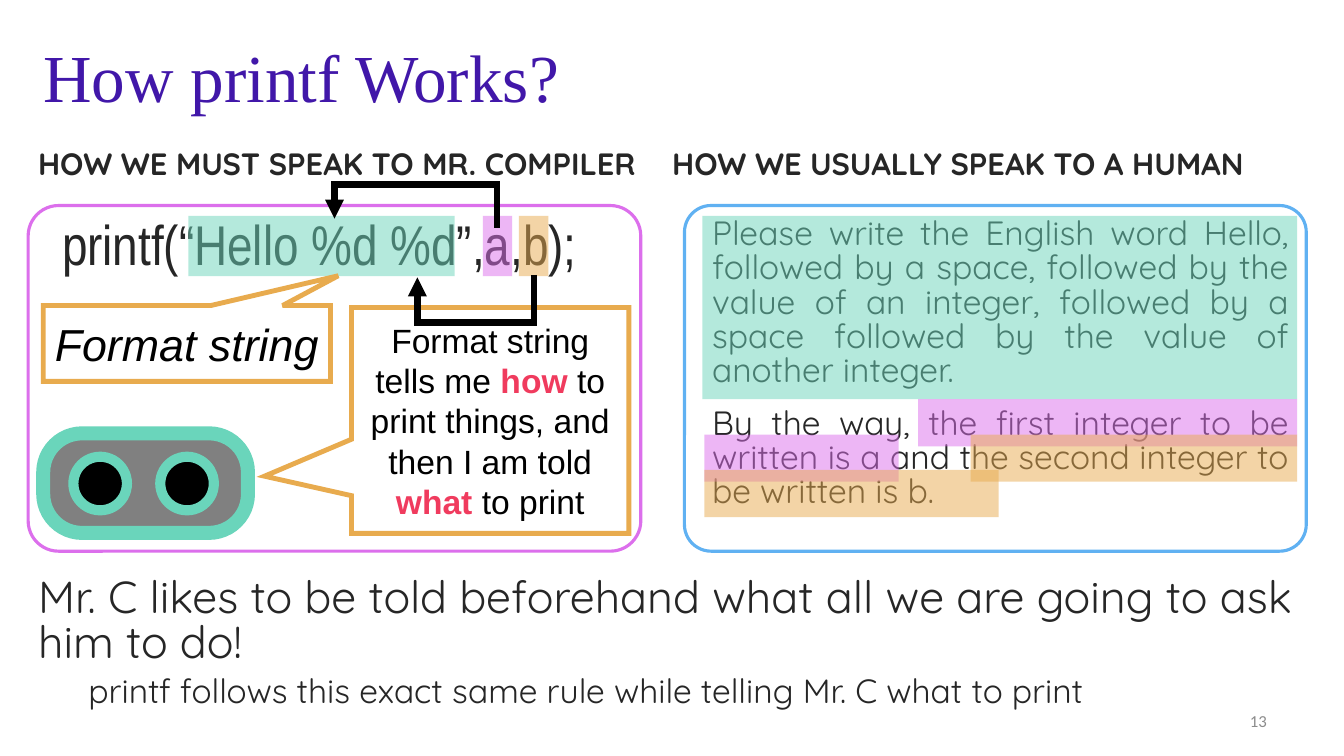
import pptx
import pptx.util
import pptx.dml.color
import pptx.enum.shapes
import pptx.enum.text
import pptx.oxml
import pptx.oxml.ns

Cm = pptx.util.Cm
Pt = pptx.util.Pt
RGB = pptx.dml.color.RGBColor
KIND = pptx.enum.shapes.MSO_SHAPE
ALIGN = pptx.enum.text.PP_ALIGN
ANCHOR = pptx.enum.text.MSO_ANCHOR
NS = pptx.oxml.ns.nsdecls("a")

INK = RGB(0x26, 0x26, 0x26)
BLACK = RGB(0, 0, 0)
WHITE = RGB(255, 255, 255)
VIOLET = RGB(0x41, 0x17, 0xA9)
GREY = RGB(0x80, 0x80, 0x80)
PALE = RGB(0x8C, 0x8C, 0x8C)
MINT = RGB(0x6A, 0xD5, 0xBB)
PINK = RGB(0xDC, 0x6F, 0xEC)
GOLD = RGB(0xE8, 0xAB, 0x4E)
BLUE = RGB(0x60, 0xB1, 0xF2)
RED = RGB(0xF0, 0x3B, 0x5E)


def stroke(shape, color, width):
    shape.line.color.rgb = color
    shape.line.width = Pt(width)
    line = shape.line._ln
    line.append(pptx.oxml.parse_xml(f'<a:miter {NS} lim="800000"/>'))
    return line


def add_form(slide, kind, box, fill=None, line=None, width=0, adjust=()):
    shape = slide.shapes.add_shape(kind, *map(Cm, box))
    shape.shadow.inherit = False
    for i, value in enumerate(adjust):
        shape.adjustments[i] = value
    if fill is None:
        shape.fill.background()
    else:
        shape.fill.solid()
        shape.fill.fore_color.rgb = fill
    if line is None:
        shape.line.fill.background()
    else:
        stroke(shape, line, width)
    return shape


def add_tint(slide, box, color):
    shape = add_form(slide, KIND.RECTANGLE, box, color)
    tint = shape.fill._xPr.find(".//" + pptx.oxml.ns.qn("a:srgbClr"))
    tint.append(pptx.oxml.parse_xml(f'<a:alpha {NS} val="50000"/>'))


def add_par(frame, text, size, font, color=INK, align=ALIGN.LEFT,
            indent=0, space=None, gap=0, bold=False, italic=False):
    """Fill the first empty paragraph, or append one below the others."""
    par = frame.paragraphs[0]
    if par.runs:
        par = frame.add_paragraph()
        par.space_before = Pt(gap)
    par.alignment = align
    if space:
        par.line_spacing = space
    if indent:
        par._p.get_or_add_pPr().set("marL", str(Cm(indent)))
    par.font.size, par.font.name = Pt(size), font
    par.font.bold, par.font.italic = bold, italic
    if isinstance(text, str):
        par.font.color.rgb = color
        par.add_run().text = text
        return
    for words, strong in text:
        run = par.add_run()
        run.text = words
        run.font.bold = strong
        run.font.color.rgb = RED if strong else color


def set_frame(shape, anchor=ANCHOR.MIDDLE):
    frame = shape.text_frame
    frame.word_wrap = True
    frame.vertical_anchor = anchor
    return frame


def add_text(slide, box):
    return set_frame(slide.shapes.add_textbox(*map(Cm, box)))


def add_panel(slide, box, color, adjust):
    panel = add_form(slide, KIND.ROUNDED_RECTANGLE, box, None, color, 2.25, [adjust])
    return set_frame(panel, ANCHOR.TOP)


def add_call(slide, box, adjust, text, size, italic=False):
    call = add_form(slide, KIND.RECTANGULAR_CALLOUT, box, WHITE, GOLD, 3.5, adjust)
    add_par(set_frame(call), text, size, "Arial", BLACK, ALIGN.CENTER, italic=italic)


def add_bend(slide, start, end, level):
    """Draw an arrow that runs to a level, across, and back to its end."""
    (left, top), (right, base) = start, end
    path = slide.shapes.build_freeform(Cm(left), Cm(top))
    turns = [(left, level), (right, level), (right, base)]
    path.add_line_segments([(Cm(x), Cm(y)) for x, y in turns], close=False)
    shape = path.convert_to_shape()
    shape.shadow.inherit = False
    shape.fill.background()
    line = stroke(shape, BLACK, 4.5)
    line.append(pptx.oxml.parse_xml(f'<a:tailEnd {NS} type="triangle"/>'))


def add_robot(slide):
    add_form(slide, KIND.ROUNDED_RECTANGLE, (1.09, 10.92, 5.16, 2.51),
             GREY, MINT, 10, [0.391])
    for left in (1.85, 4.04):
        add_form(slide, KIND.OVAL, (left, 11.51, 1.35, 1.35), BLACK, MINT, 7.25)


def main():
    deck = pptx.Presentation()
    deck.slide_width, deck.slide_height = Cm(33.87), Cm(19.05)
    slide = deck.slides.add_slide(deck.slide_layouts[6])

    # Title and column heads
    add_par(add_text(slide, (0.84, 0.84, 30.48, 2.11)), "How printf Works?",
            48, "Times New Roman", VIOLET)
    for left, width, text in [
            (0.71, 15.98, "HOW WE MUST SPEAK TO MR. COMPILER"),
            (16.69, 16.23, "HOW WE USUALLY SPEAK TO A HUMAN")]:
        add_par(add_text(slide, (left, 3.18, width, 2.01)), text,
                22, "Quicksand", space=0.85, bold=True)

    # Code panel and speech panel
    code = add_panel(slide, (0.71, 5.18, 15.44, 8.71), PINK, 0.088)
    add_par(code, "printf(“Hello %d %d”,a,b);", 40, "Arial Narrow",
            indent=0.38, space=0.85)
    speech = add_panel(slide, (17.25, 5.18, 15.67, 8.71), BLUE, 0.077)
    for text in [
            "Please write the English word Hello, followed by a space, "
            "followed by the value of an integer, followed by a space "
            "followed by the value of another integer.",
            "By the way, the first integer to be written is a and "
            "the second integer to be written is b."]:
        add_par(speech, text, 24, "Quicksand", align=ALIGN.JUSTIFY,
                indent=0.25, space=0.85, gap=13)

    # Closing remark
    foot = add_text(slide, (0.71, 14.2, 32.23, 4.04))
    add_par(foot, "Mr. C likes to be told beforehand what all we are going "
            "to ask him to do!", 32, "Quicksand", space=0.85)
    add_par(foot, "printf follows this exact same rule while telling Mr. C "
            "what to print", 24, "Quicksand", indent=1.27, space=0.85, gap=6)

    # Matching tints over code and speech
    for left, width, color in [(4.75, 6.71, MINT), (12.17, 0.74, PINK),
                               (13.08, 0.74, GOLD)]:
        add_tint(slide, (left, 5.44, width, 1.52), color)
    add_tint(slide, (17.7, 5.44, 14.99, 4.62), MINT)
    for left, row, width, color in [
            (23.14, 0, 9.55, PINK), (17.75, 1, 4.9, PINK),
            (24.46, 1, 8.23, GOLD), (17.75, 2, 7.42, GOLD)]:
        add_tint(slide, (left, 10.06 + 0.89 * row, width, 1.19), color)

    # Mr. C and the callouts
    add_robot(slide)
    add_call(slide, (8.86, 7.75, 6.99, 5.69), (-0.814, 0.247),
             [("Format string tells me ", False), ("how ", True),
              ("to print things, and then I am told ", False),
              ("what ", True), ("to print", False)], 24)
    add_call(slide, (1.09, 7.7, 7.24, 1.91), (0.527, -0.893),
             "Format string", 32, italic=True)

    # Arrows from values to their slots
    add_bend(slide, (12.52, 5.74), (8.43, 5.51), 4.65)
    add_bend(slide, (13.46, 6.93), (10.52, 6.99), 8.13)

    # Slide number
    add_par(add_text(slide, (24.28, 17.65, 7.9, 1.02)), "13", 12, "Calibri",
            PALE, ALIGN.RIGHT)

    deck.save("out.pptx")


if __name__ == "__main__":
    main()
